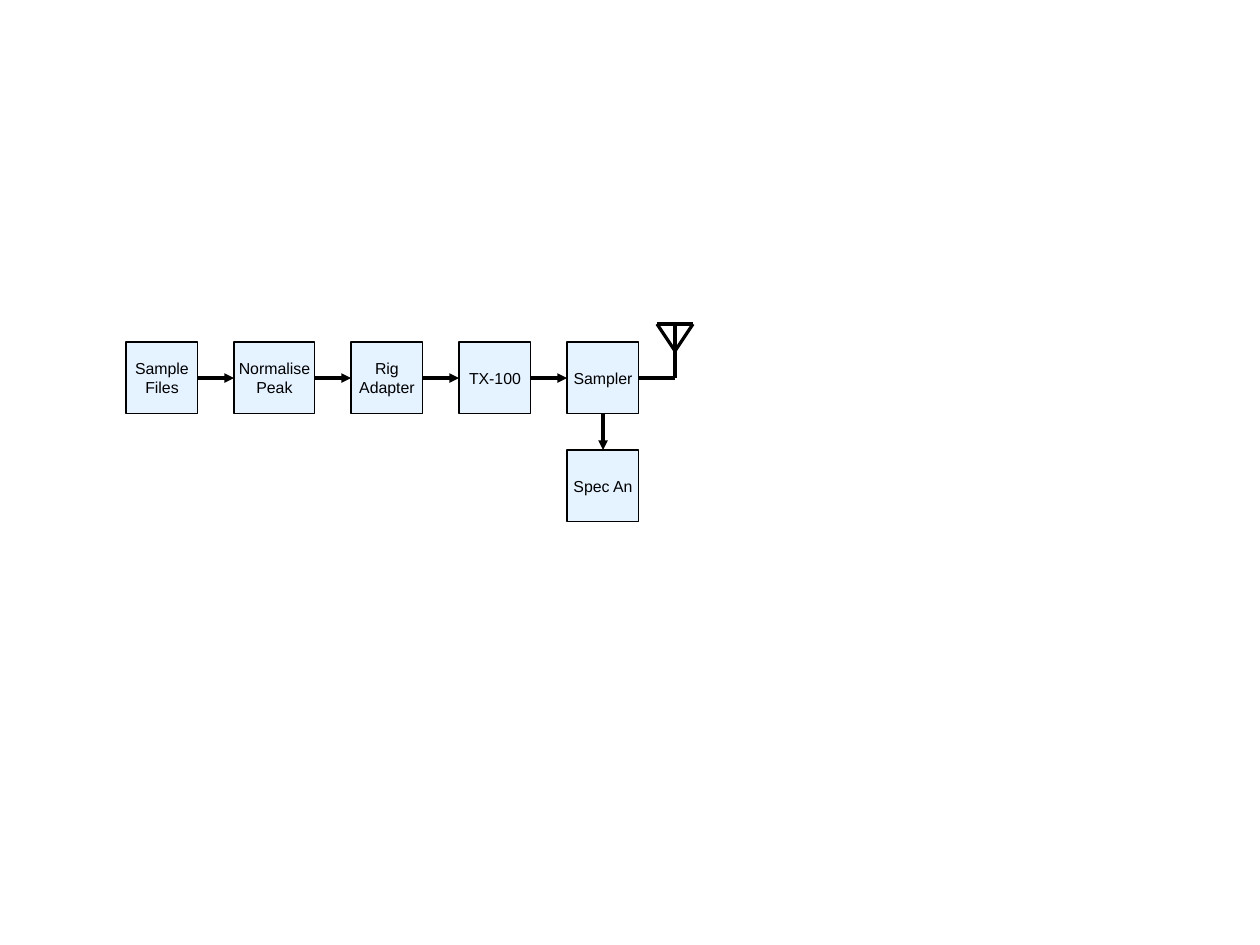
from dataclasses import dataclass

from pptx import Presentation
from pptx import util as u
from pptx.dml.color import RGBColor
from pptx.enum import shapes, text
from pptx.oxml.ns import qn
from lxml import etree

PX = 8000  # EMU per px


@dataclass(frozen=True)
class Theme:
    ink: RGBColor = RGBColor(0, 0, 0)
    fill: RGBColor = RGBColor(0x99, 0xCC, 0xFF)
    fill_alpha: int = 25
    font: str = "Arial"
    size: int = 10
    line: int = 0


THEME = Theme()
TOP, LEFT, BOTTOM, RIGHT = range(4)
SIDE, GAP = 72, 36
STAGES = [
    ("Sample\nFiles", SIDE),
    ("Normalise\nPeak", 81),
    ("Rig\nAdapter", SIDE),
    ("TX-100", SIDE),
    ("Sampler", SIDE),
]


def px(n):
    return u.Emu(n * PX)


def add_block(s, label, x, y, w, h):
    sp = s.shapes.add_shape(shapes.MSO_SHAPE.RECTANGLE, px(x), px(y), px(w), px(h))
    sp.shadow.inherit = False
    sp.fill.solid()
    sp.fill.fore_color.rgb = THEME.fill
    clr = sp.element.spPr.find(qn("a:solidFill"))[0]
    etree.SubElement(clr, qn("a:alpha"), val=str(THEME.fill_alpha * 1000))
    sp.line.color.rgb = THEME.ink
    sp.line.width = u.Pt(THEME.line)
    tf = sp.text_frame
    tf.word_wrap = False
    tf.vertical_anchor = text.MSO_ANCHOR.MIDDLE
    tf.text = label
    for p in tf.paragraphs:
        p.alignment = text.PP_ALIGN.CENTER
        for r in p.runs:
            r.font.name = THEME.font
            r.font.size = u.Pt(THEME.size)
            r.font.color.rgb = THEME.ink
    return sp


def add_line(parent, x1, y1, x2, y2):
    cn = parent.shapes.add_connector(
        shapes.MSO_CONNECTOR.STRAIGHT, px(x1), px(y1), px(x2), px(y2))
    cn.line.color.rgb = THEME.ink
    cn.line.width = u.Pt(THEME.line)
    etree.SubElement(cn.element.spPr, qn("a:effectLst"))
    return cn


def add_arrow(s, start, start_side, end, end_side):
    cn = add_line(s, 0, 0, 0, 0)
    cn.begin_connect(start, start_side)
    cn.end_connect(end, end_side)
    ln = cn.element.spPr.find(qn("a:ln"))
    etree.SubElement(ln, qn("a:tailEnd"), type="triangle")


def add_antenna(s, x, y, w, h):
    """Triangle above a mast, fitted to the given box."""
    mid, right, apex = x + w // 2, x + w, y + h // 2
    grp = s.shapes.add_group_shape()
    for ends in [
        (mid, y, mid, y + h),
        (x, y, mid, apex),
        (right, y, mid, apex),
        (right, y, x, y),
    ]:
        add_line(grp, *ends)


def add_signal_chain(s, x, y):
    # Row of stages
    blocks = []
    for label, w in STAGES:
        blocks.append(add_block(s, label, x, y, w, SIDE))
        x += w + GAP
    for a, b in zip(blocks, blocks[1:]):
        add_arrow(s, a, RIGHT, b, LEFT)

    # Analyser below the sampler
    sampler = blocks[-1]
    analyser = add_block(s, "Spec An", x - SIDE - GAP, y + SIDE + GAP, SIDE, SIDE)
    add_arrow(s, sampler, BOTTOM, analyser, TOP)

    # Feed line and antenna
    mid = y + SIDE // 2
    feed = add_line(s, x - GAP, mid, x, mid)
    feed.begin_connect(sampler, RIGHT)
    add_antenna(s, x - 18, mid - 54, 36, 54)


def main():
    prs = Presentation()
    prs.slide_width, prs.slide_height = px(1260), px(945)
    s = prs.slides.add_slide(prs.slide_layouts[6])
    add_signal_chain(s, 126, 342)
    prs.save("out.pptx")


if __name__ == "__main__":
    main()
